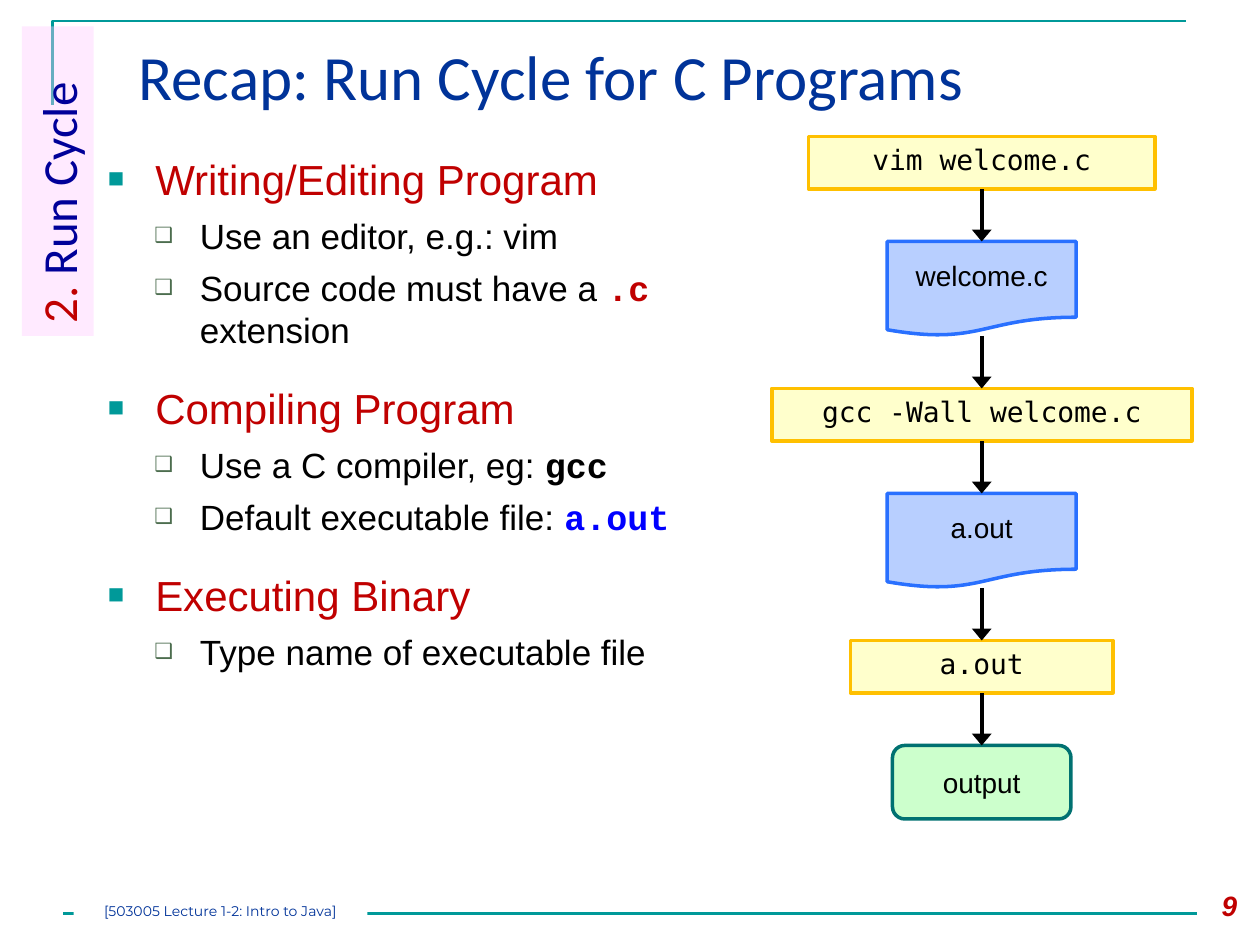
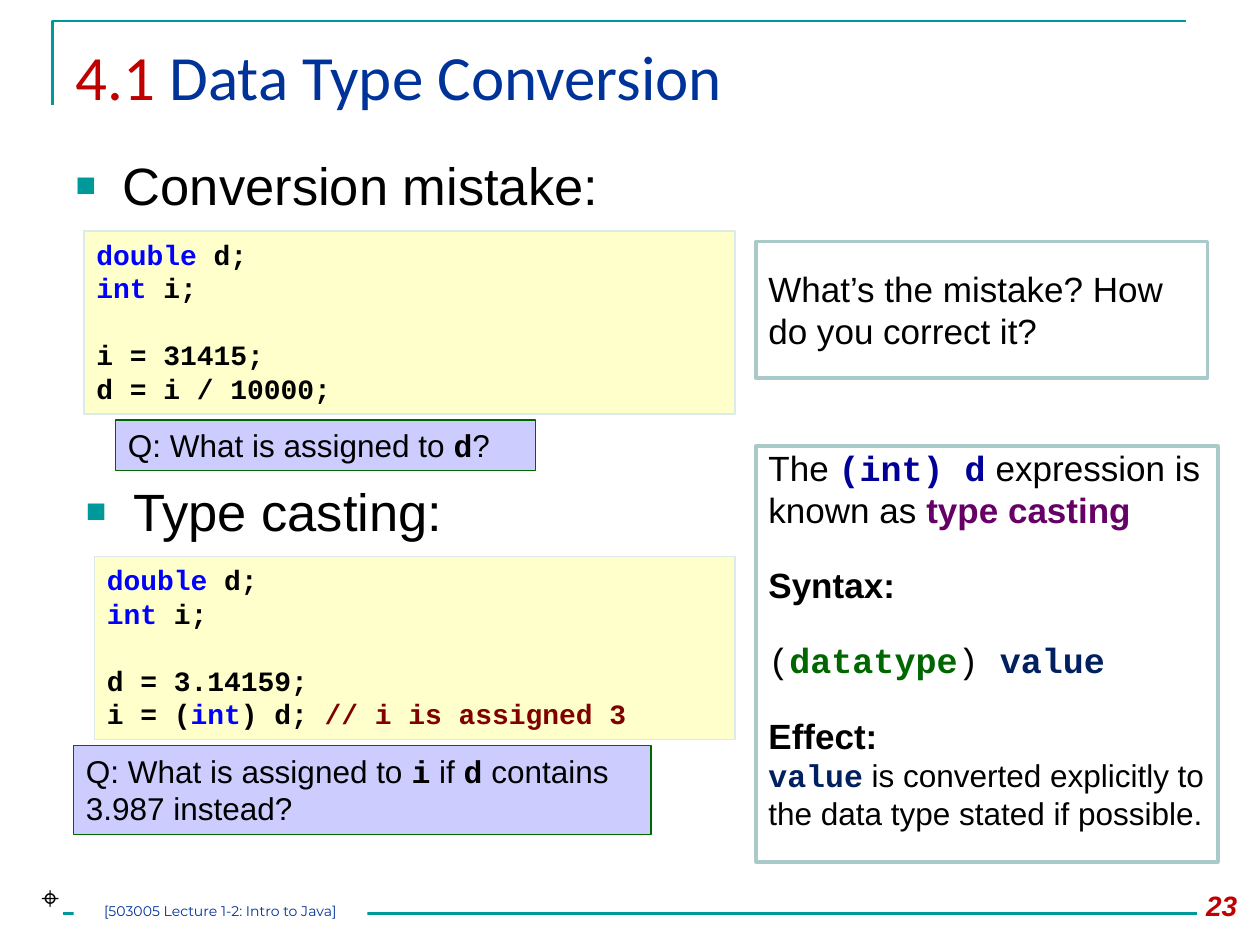
"""Build two lecture slides: the C run cycle and data type conversion."""
from dataclasses import dataclass

from lxml import etree
from pptx import Presentation
from pptx.dml.color import RGBColor
from pptx.enum.shapes import MSO_CONNECTOR, MSO_SHAPE
from pptx.enum.text import MSO_ANCHOR, MSO_AUTO_SIZE, PP_ALIGN
from pptx.oxml.ns import qn
from pptx.util import Pt

STRAIGHT = MSO_CONNECTOR.STRAIGHT
RECT = MSO_SHAPE.RECTANGLE
DOCUMENT = MSO_SHAPE.FLOWCHART_DOCUMENT
ROUNDED = MSO_SHAPE.FLOWCHART_ALTERNATE_PROCESS
TOP, MIDDLE = MSO_ANCHOR.TOP, MSO_ANCHOR.MIDDLE
LEFT, CENTER, RIGHT = PP_ALIGN.LEFT, PP_ALIGN.CENTER, PP_ALIGN.RIGHT


@dataclass(frozen=True)
class Theme:
    teal: str = "009999"
    title: str = "003399"
    red: str = "C00000"
    black: str = "000000"
    white: str = "FFFFFF"
    keyword: str = "0000FF"
    navy: str = "000099"
    comment: str = "800000"
    purple: str = "660066"
    green: str = "006600"
    value: str = "002060"
    sub_bullet: str = "4C6D4E"
    pink: str = "FFCCFF"
    yellow: str = "FFFFCC"
    amber: str = "FFC000"
    blue_fill: str = "B8CFFF"
    blue_line: str = "2970FF"
    green_fill: str = "CCFFCC"
    green_line: str = "007171"
    code_line: str = "DDEAEA"
    note_line: str = "AACACA"
    lilac: str = "CCCCFF"
    sans: str = "Arial"
    heading: str = "Calibri"
    code: str = "Courier New"
    mono: str = "DejaVu Sans Mono"
    footer: str = "Montserrat"
    title_size: int = 36
    topic_size: int = 30
    sidebar_size: int = 28
    head_size: int = 24
    text_size: int = 20
    question_size: int = 18
    code_size: int = 16
    footer_size: int = 8


T = Theme()
BULLETS = {
    0: ("■", T.teal, 65, 27, -27),
    1: ("❑", T.sub_bullet, 60, 52.5, -26),
}
CODE_BLANK_LINE = 19


def write(frame, paragraphs, align=LEFT, anchor=TOP, bulleted=False):
    """Write (size, gap before, level, runs) paragraphs into a text frame."""
    frame.word_wrap = True
    frame.auto_size = MSO_AUTO_SIZE.NONE
    frame.vertical_anchor = anchor
    for index, (size, gap, level, runs) in enumerate(paragraphs):
        paragraph = frame.paragraphs[0] if index == 0 else frame.add_paragraph()
        paragraph.alignment = align
        paragraph.space_before = Pt(gap)
        paragraph.level = level
        if bulleted:
            mark, color, percent, margin, indent = BULLETS[level]
            properties = paragraph._p.get_or_add_pPr()
            properties.set("marL", str(Pt(margin)))
            properties.set("indent", str(Pt(indent)))
            bullet_color = etree.SubElement(properties, qn("a:buClr"))
            etree.SubElement(bullet_color, qn("a:srgbClr"), val=color)
            etree.SubElement(properties, qn("a:buSzPct"), val=str(percent * 1000))
            etree.SubElement(properties, qn("a:buFont"), typeface=T.sans)
            etree.SubElement(properties, qn("a:buChar"), char=mark)
        for text, font, color, bold in runs:
            run = paragraph.add_run()
            run.text = text
            run.font.name = font
            run.font.size = Pt(size)
            run.font.bold = bold
            run.font.color.rgb = RGBColor.from_string(color)


def add_box(slide, preset, bounds, fill, line=None, weight=0.75):
    """Add a filled preset shape, outlined when a line colour is given."""
    box = slide.shapes.add_shape(preset, *map(Pt, bounds))
    box.shadow.inherit = False
    box.fill.solid()
    box.fill.fore_color.rgb = RGBColor.from_string(fill)
    if line:
        box.line.color.rgb = RGBColor.from_string(line)
        box.line.width = Pt(weight)
    else:
        box.line.fill.background()
    return box


deck = Presentation()
deck.slide_width, deck.slide_height = Pt(720), Pt(540)

pages = [
    ("9", (72, 18, 612, 62), (54.5, 84, 396, 432),
     [("Recap: Run Cycle for C Programs", T.heading, T.title, False)]),
    ("23", (36, 18, 648, 62), (36, 84, 648, 186),
     [("4.1", T.heading, T.red, False),
      (" Data Type Conversion", T.heading, T.title, False)]),
]
slides = []
for number, title_bounds, body_bounds, title_runs in pages:
    slide = deck.slides.add_slide(deck.slide_layouts[1])
    slides.append(slide)
    for holder, bounds in zip(slide.placeholders, (title_bounds, body_bounds)):
        holder.left, holder.top, holder.width, holder.height = map(Pt, bounds)
    write(slide.shapes.title.text_frame, [(T.title_size, 0, 0, title_runs)])

    outline = slide.shapes.build_freeform(Pt(30), Pt(60))
    outline.add_line_segments([(Pt(30), Pt(12)), (Pt(678), Pt(12))], close=False)
    corner = outline.convert_to_shape()
    corner.shadow.inherit = False
    corner.fill.background()
    footer_rule = slide.shapes.add_connector(STRAIGHT, Pt(36), Pt(522), Pt(684), Pt(522))
    etree.SubElement(footer_rule.element.spPr, qn("a:effectLst"))
    for rule in (corner, footer_rule):
        rule.line.color.rgb = RGBColor.from_string(T.teal)
        rule.line.width = Pt(1.5)

    course = add_box(slide, RECT, (42, 516, 168, 12), T.white).text_frame
    course.margin_left = course.margin_right = course.margin_top = course.margin_bottom = 0
    write(course, [(T.footer_size, 0, 0, [
        ("[503005 Lecture 1-2: Intro to Java]", T.footer, T.title, False)])], CENTER)
    page_number = slide.shapes.add_textbox(Pt(666), Pt(504), Pt(48), Pt(29)).text_frame
    write(page_number, [(T.code_size, 0, 0, [(number, T.sans, T.red, True)])], RIGHT)
    page_number.paragraphs[0].runs[0].font.italic = True

run_cycle, conversion = slides

steps = [
    (0, [("Writing/Editing Program", T.sans, T.red, False)]),
    (1, [("Use an editor, e.g.: vim", T.sans, T.black, False)]),
    (1, [("Source code must have a ", T.sans, T.black, False),
         (".c ", T.code, T.red, True),
         ("extension", T.sans, T.black, False)]),
    (0, [("Compiling Program", T.sans, T.red, False)]),
    (1, [("Use a C compiler, eg: ", T.sans, T.black, False),
         ("gcc", T.code, T.black, True)]),
    (1, [("Default executable file: ", T.sans, T.black, False),
         ("a.out", T.code, T.keyword, True)]),
    (0, [("Executing Binary", T.sans, T.red, False)]),
    (1, [("Type name of executable file", T.sans, T.black, False)]),
]
write(run_cycle.placeholders[1].text_frame,
      [(T.text_size if level else T.head_size,
        0 if index == 0 else 6 if level else 18, level, runs)
       for index, (level, runs) in enumerate(steps)], bulleted=True)

sidebar = add_box(run_cycle, RECT, (-55.5, 83, 177, 41), T.pink)
sidebar.rotation = 270
etree.SubElement(sidebar.element.spPr.find(".//" + qn("a:srgbClr")), qn("a:alpha"), val="40000")
write(sidebar.text_frame, [(T.sidebar_size, 0, 0, [
    ("2.", T.heading, T.red, False), (" Run Cycle", T.heading, T.navy, False)])])

command = (RECT, 30, 7, T.mono, T.yellow, T.amber)
document = (DOCUMENT, 54, 8, T.sans, T.blue_fill, T.blue_line)
result = (ROUNDED, 42, 3.6, T.sans, T.green_fill, T.green_line)
flow = [
    ("vim welcome.c", 198, command),
    ("welcome.c", 108, document),
    ("gcc -Wall welcome.c", 240, command),
    ("a.out", 108, document),
    ("a.out", 150, command),
    ("output", 102, result),
]
flow_center, flow_top, flow_gap = 561, 78, 30
previous = None
for label, width, (preset, height, bottom_inset, font, fill, line) in flow:
    stage = add_box(run_cycle, preset, (flow_center - width / 2, flow_top, width, height),
                    fill, line, 2)
    stage.text_frame.margin_bottom = Pt(bottom_inset)
    write(stage.text_frame, [(T.code_size, 0, 0, [(label, font, T.black, False)])],
          CENTER, MIDDLE)
    if previous:
        arrow = run_cycle.shapes.add_connector(
            STRAIGHT, Pt(flow_center), Pt(flow_top - flow_gap), Pt(flow_center), Pt(flow_top))
        if previous.auto_shape_type == RECT:
            arrow.begin_connect(previous, 2)
        arrow.end_connect(stage, 0)
        arrow.line.color.rgb = RGBColor.from_string(T.black)
        arrow.line.width = Pt(2.25)
        etree.SubElement(arrow.element.spPr.find(qn("a:ln")), qn("a:tailEnd"),
                         type="triangle", w="lg", len="med")
        etree.SubElement(arrow.element.spPr, qn("a:effectLst"))
    previous = stage
    flow_top += height + flow_gap

casting_topic = conversion.shapes.add_textbox(Pt(42), Pt(270), Pt(648), Pt(186))
for topic, text in ((conversion.placeholders[1], "Conversion mistake:"),
                    (casting_topic, "Type casting:")):
    write(topic.text_frame, [(T.topic_size, 0, 0, [(text, T.sans, T.black, False)])],
          bulleted=True)

declarations = [
    (0, [("double", T.keyword), (" d;", T.black)]),
    (0, [("int ", T.keyword), ("i;", T.black)]),
]
listings = [
    ((48, 132, 372, 104.5), [
        (CODE_BLANK_LINE, [("i = 31415;", T.black)]),
        (0, [("d = i / 10000;", T.black)])]),
    ((54, 318, 366, 104.5), [
        (CODE_BLANK_LINE, [("d = 3.14159;", T.black)]),
        (0, [("i = (", T.black), ("int", T.keyword), (") d; ", T.black),
             ("// i is assigned 3", T.comment)])]),
]
for bounds, statements in listings:
    listing = add_box(conversion, RECT, bounds, T.yellow, T.code_line)
    write(listing.text_frame,
          [(T.code_size, gap, 0, [(text, T.code, color, True) for text, color in runs])
           for gap, runs in declarations + statements])

questions = [
    ((66, 240, 240, 29), [("d", True), ("?", False)]),
    ((42, 426, 330, 51), [("i", True), (" if ", False), ("d", True),
                          (" contains 3.987 instead?", False)]),
]
for bounds, ending in questions:
    question = add_box(conversion, RECT, bounds, T.lilac, T.green)
    write(question.text_frame, [(T.question_size, 0, 0, [
        (text, T.code if is_code else T.sans, T.black, is_code)
        for text, is_code in [("Q: What is assigned to ", False)] + ending])])

challenge = add_box(conversion, RECT, (432, 138, 258, 78), T.white, T.note_line, 2)
write(challenge.text_frame, [(T.text_size, 0, 0, [
    ("What’s the mistake? How do you correct it?", T.sans, T.black, False)])], anchor=MIDDLE)

explanation = add_box(conversion, RECT, (432, 255, 264, 237.5), T.white, T.note_line, 2)
explanation.text_frame.margin_top = 0
explanation.text_frame.margin_right = Pt(4)
write(explanation.text_frame, [
    (T.text_size, 0, 0, [
        ("The ", T.sans, T.black, False), ("(int) d", T.code, T.navy, True),
        (" expression is known as ", T.sans, T.black, False),
        ("type casting", T.sans, T.purple, True)]),
    (T.text_size, CODE_BLANK_LINE, 0, [("Syntax:", T.sans, T.black, True)]),
    (T.text_size, CODE_BLANK_LINE, 0, [
        ("(", T.code, T.black, False), ("datatype", T.code, T.green, True),
        (") ", T.code, T.black, False), ("value", T.code, T.value, True)]),
    (T.text_size, CODE_BLANK_LINE, 0, [("Effect:", T.sans, T.black, True)]),
    (T.question_size, 0, 0, [
        ("value", T.code, T.value, True),
        (" is converted explicitly to the data type stated if possible.",
         T.sans, T.black, False)]),
])

target = conversion.shapes.add_textbox(Pt(16.5), Pt(498), Pt(24), Pt(29))
write(target.text_frame, [(T.question_size, 0, 0, [("⌖", T.sans, T.black, False)])], CENTER)

deck.save("out.pptx")
